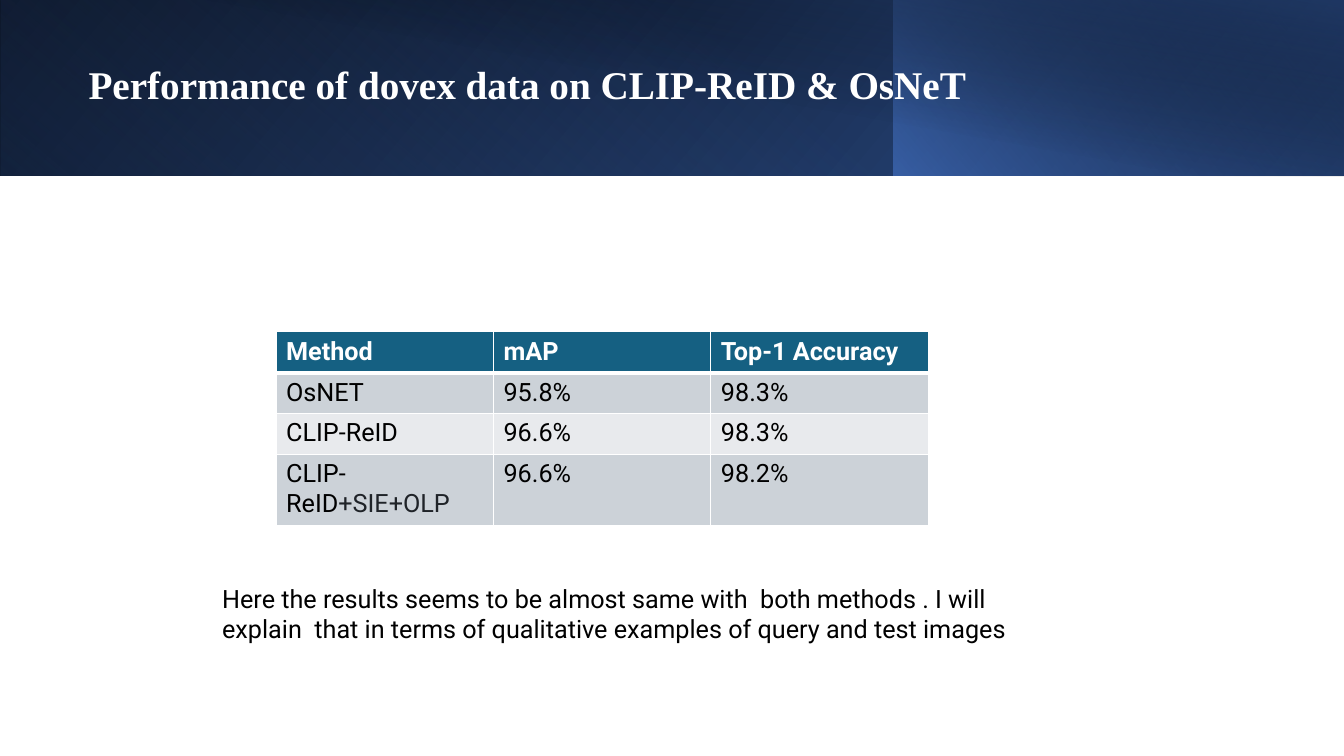
from dataclasses import dataclass

from lxml import etree
from pptx import Presentation
from pptx.dml.color import RGBColor
from pptx.enum import shapes, text
from pptx.oxml import ns
from pptx.util import Pt

COLORS = {
    "white": "FFFFFF",
    "black": "000000",
    "ink": "1F2328",
    "blue": "2F5496",
    "accent": "4472C4",
    "navy": "1F3864",
    "header": "156082",
    "band_dark": "CCD2D8",
    "band_light": "E8EAED",
}


@dataclass
class Panel:
    left: float
    width: float
    height: float
    angle: int
    stops: list[tuple[int, str, int]]  # position %, colour, opacity %
    flip: bool = True
    rotation: int = 0


@dataclass
class Style:
    font: str
    size: float
    color: str
    bold: bool = False


BANNER = [
    Panel(0, 960, 125.3, 140, [(0, "black", 100), (100, "blue", 100)]),
    Panel(0, 639.4, 125.3, 230,
          [(0, "accent", 0), (20, "accent", 0), (100, "navy", 54)], rotation=180),
    Panel(638.6, 321.4, 125.3, 220, [(0, "accent", 65), (100, "black", 29)]),
    Panel(36, 924, 126, 280,
          [(0, "black", 0), (50, "black", 0), (99, "navy", 51), (100, "navy", 51)],
          flip=False),
]

TITLE = Style("Times New Roman", 28, "white", True)
HEADING = Style("Roboto", 18, "white", True)
BODY = Style("Roboto", 18, "black")
SUFFIX = Style("Roboto", 18, "ink")

RESULTS = [
    ("Method", "mAP", "Top-1 Accuracy"),
    ("OsNET", "95.8%", "98.3%"),
    ("CLIP-ReID", "96.6%", "98.3%"),
    ("CLIP-ReID", "96.6%", "98.2%"),
]
COLUMN_WIDTH = 155.3
ROW_HEIGHTS = [29.2, 29.2, 29.2, 50.6]


def rgb(name: str) -> RGBColor:
    return RGBColor.from_string(COLORS[name])


def style_run(run, style: Style) -> None:
    run.font.name = style.font
    run.font.size = Pt(style.size)
    run.font.bold = style.bold
    run.font.color.rgb = rgb(style.color)


def add_color(parent, name: str):
    return etree.SubElement(parent, ns.qn("a:srgbClr"), val=COLORS[name])


def draw_panel(slide, panel: Panel) -> None:
    rect = slide.shapes.add_shape(shapes.MSO_SHAPE.RECTANGLE, Pt(panel.left), 0,
                                  Pt(panel.width), Pt(panel.height))
    rect.shadow.inherit = False
    rect.line.fill.background()
    rect.rotation = panel.rotation
    properties = rect._element.spPr
    if panel.flip:
        properties.find(ns.qn("a:xfrm")).set("flipH", "1")
    gradient = etree.Element(ns.qn("a:gradFill"), rotWithShape="1")
    stop_list = etree.SubElement(gradient, ns.qn("a:gsLst"))
    for position, color, opacity in panel.stops:
        stop = etree.SubElement(stop_list, ns.qn("a:gs"), pos=str(position * 1000))
        shade = add_color(stop, color)
        if opacity < 100:
            etree.SubElement(shade, ns.qn("a:alpha"), val=str(opacity * 1000))
    etree.SubElement(gradient, ns.qn("a:lin"), ang=str(panel.angle * 60000), scaled="0")
    properties.find(ns.qn("a:prstGeom")).addnext(gradient)


def draw_text(slide, left: float, top: float, width: float, height: float,
              wording: str, style: Style):
    frame = slide.shapes.add_textbox(Pt(left), Pt(top), Pt(width), Pt(height)).text_frame
    frame.word_wrap = True
    frame.text = wording
    style_run(frame.paragraphs[0].runs[0], style)
    return frame


def set_borders(cell, row: int) -> None:
    cell_properties = cell._tc.get_or_add_tcPr()
    widths = {"lnL": 1, "lnR": 1, "lnT": 3 if row == 1 else 1, "lnB": 3 if row == 0 else 1}
    for side, width in widths.items():
        line = etree.SubElement(cell_properties, ns.qn(f"a:{side}"), w=str(Pt(width)))
        add_color(etree.SubElement(line, ns.qn("a:solidFill")), "white")


def draw_results(slide, left: float, top: float) -> None:
    columns = len(RESULTS[0])
    results = slide.shapes.add_table(len(RESULTS), columns, Pt(left), Pt(top),
                                     Pt(COLUMN_WIDTH * columns), Pt(sum(ROW_HEIGHTS))).table
    for column in results.columns:
        column.width = Pt(COLUMN_WIDTH)
    for row, values in enumerate(RESULTS):
        results.rows[row].height = Pt(ROW_HEIGHTS[row])
        band = "header" if row == 0 else "band_dark" if row % 2 else "band_light"
        for column, value in enumerate(values):
            cell = results.cell(row, column)
            cell.text_frame.text = value
            style_run(cell.text_frame.paragraphs[0].runs[0], BODY if row else HEADING)
            set_borders(cell, row)
            cell.fill.solid()
            cell.fill.fore_color.rgb = rgb(band)
    # Variant name in a softer ink
    variant = results.cell(len(RESULTS) - 1, 0).text_frame.paragraphs[0].add_run()
    variant.text = "+SIE+OLP"
    style_run(variant, SUFFIX)


def main() -> None:
    deck = Presentation()
    deck.slide_width, deck.slide_height = Pt(960), Pt(540)
    slide = deck.slides.add_slide(deck.slide_layouts[6])

    # Banner and title
    for panel in BANNER:
        draw_panel(slide, panel)
    title = draw_text(slide, 56.2, 31, 812.9, 62.6,
                      "Performance of dovex data on CLIP-ReID & OsNeT", TITLE)
    title.vertical_anchor = text.MSO_ANCHOR.MIDDLE
    title.paragraphs[0].line_spacing = 0.9

    # Results table
    draw_results(slide, 197.2, 237)

    # Remark below the table
    remark = draw_text(slide, 151.6, 412.8, 610.6, 50.9,
                       "Here the results seems to be almost same with  both methods . I will  "
                       "explain  that in terms of qualitative examples of query and test images",
                       BODY)
    remark.auto_size = text.MSO_AUTO_SIZE.SHAPE_TO_FIT_TEXT

    deck.save("out.pptx")


if __name__ == "__main__":
    main()
